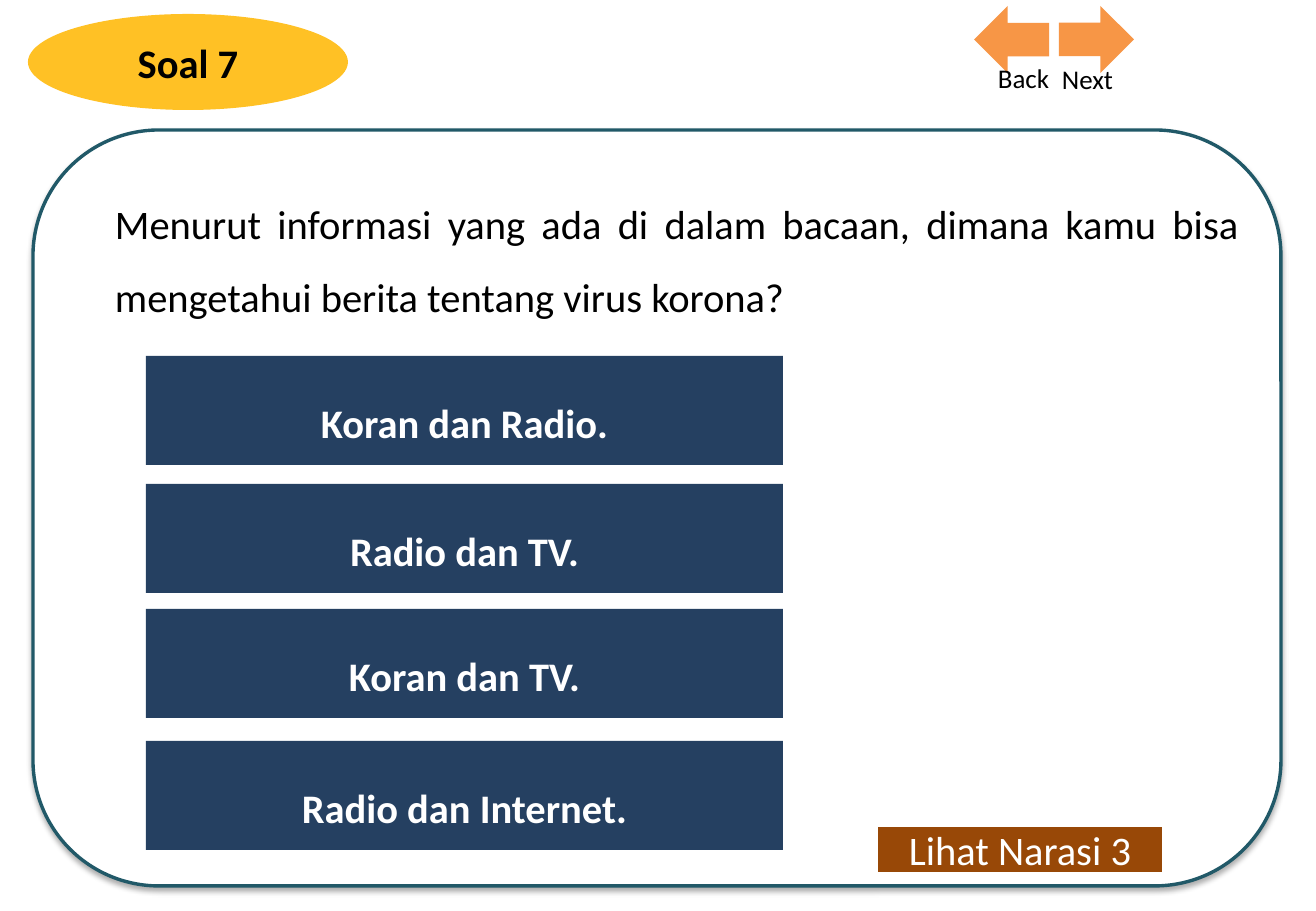
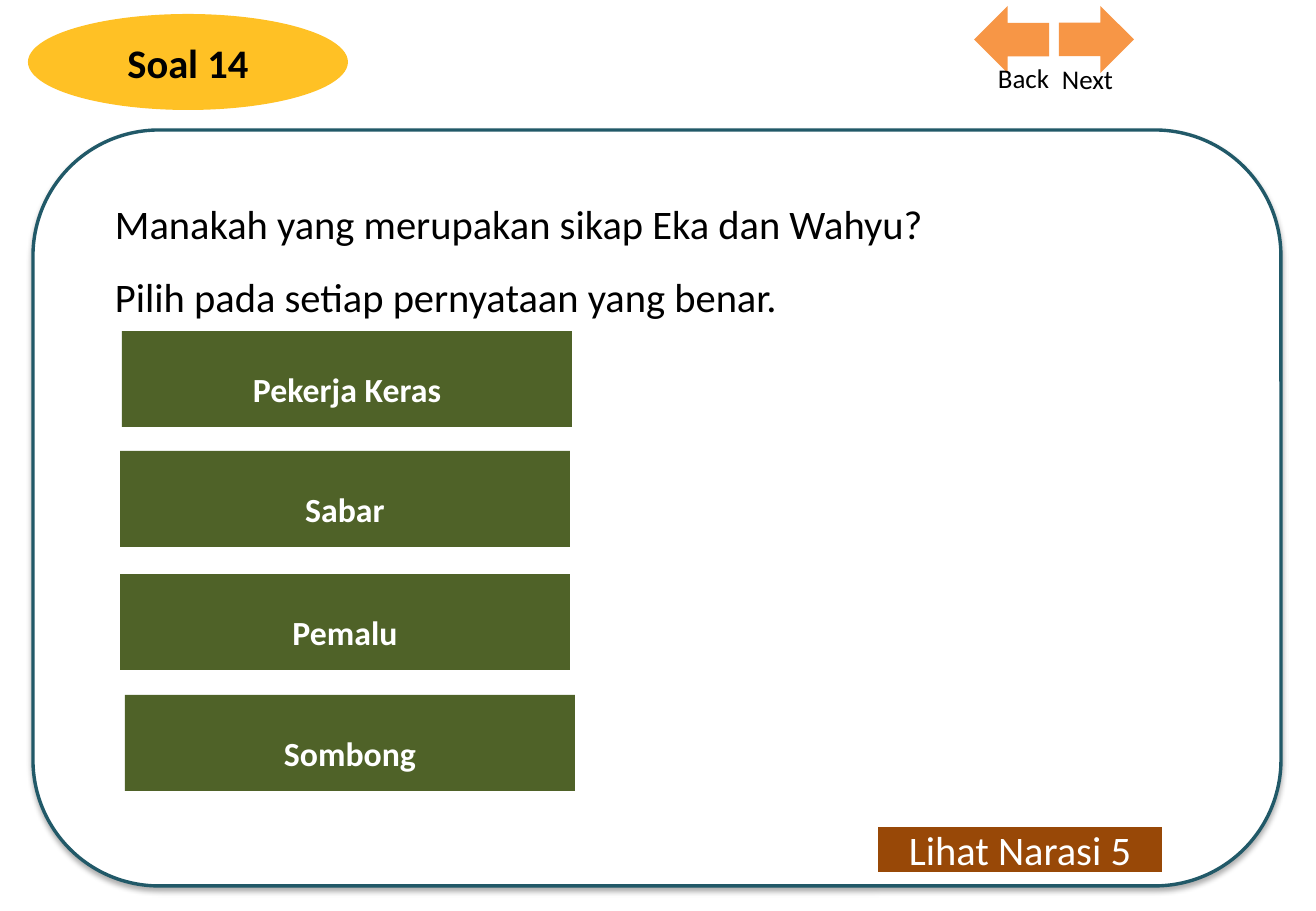
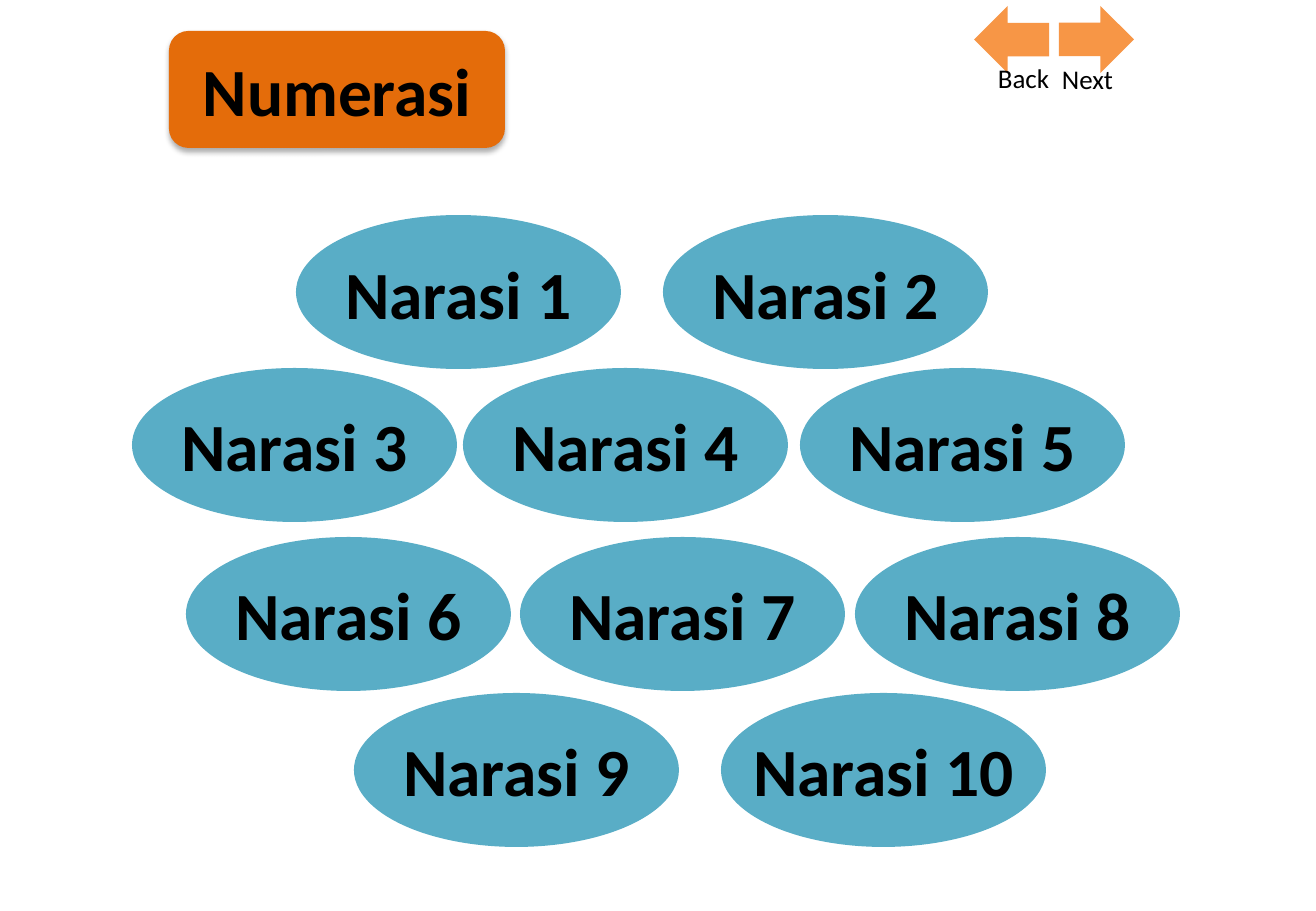
from lxml import etree
from pptx import Presentation
from pptx.dml.color import RGBColor
from pptx.enum.shapes import MSO_SHAPE
from pptx.enum.text import MSO_ANCHOR, PP_ALIGN
from pptx.oxml.ns import qn
from pptx.util import Emu, Pt

RECTANGLE, ROUNDED = MSO_SHAPE.RECTANGLE, MSO_SHAPE.ROUNDED_RECTANGLE
OVAL, ARROW = MSO_SHAPE.OVAL, MSO_SHAPE.RIGHT_ARROW
LEFT, CENTER, RIGHT, JUSTIFY = PP_ALIGN.LEFT, PP_ALIGN.CENTER, PP_ALIGN.RIGHT, PP_ALIGN.JUSTIFY
TOP, MIDDLE = MSO_ANCHOR.TOP, MSO_ANCHOR.MIDDLE

EMU_PER_PX = 914400 / 121.5
FONT = "Calibri"
COLORS = {
    "black": "000000", "white": "FFFFFF", "yellow": "FFC125", "frame": "215968",
    "brown": "984807", "navy": "254061", "green": "4F6228",
    "arrow": "F79646", "orange": "E46C0A", "teal": "59ADC6",
}

QUESTIONS = [
    {
        "title": "Soal 7",
        "question": ["Menurut informasi yang ada di dalam bacaan, dimana kamu bisa "
                     "mengetahui berita tentang virus korona?"],
        "link": "Lihat Narasi 3",
        "color": "navy", "size": 24, "option_box": (637, 109),
        "options": [("Koran dan Radio.", 146, 356), ("Radio dan TV.", 146, 484),
                    ("Koran dan TV.", 146, 609), ("Radio dan Internet.", 146, 741)],
    },
    {
        "title": "Soal 14",
        "question": ["Manakah yang merupakan sikap Eka dan Wahyu?",
                     "Pilih pada setiap pernyataan yang benar."],
        "link": "Lihat Narasi 5",
        "color": "green", "size": 20, "option_box": (450, 96),
        "options": [("Pekerja Keras", 122, 331), ("Sabar", 120, 451),
                    ("Pemalu", 120, 574), ("Sombong", 125, 695)],
    },
]

MENU_TITLE = "Numerasi"
MENU_OVAL = (325, 154)
# Top of each row, then the left edge of each oval in it
MENU_ROWS = [
    (215, [296, 663]),
    (368, [132, 463, 800]),
    (537, [186, 520, 855]),
    (693, [354, 721]),
]

# Arrow left, rotation, label, label box, label alignment
NAVIGATION = [
    (974, 180, "Back", (891, 56, 170, 45), RIGHT),
    (1059, 0, "Next", (1050, 57, 170, 45), LEFT),
]


def px(value):
    return Emu(round(value * EMU_PER_PX))


def rgb(name):
    return RGBColor.from_string(COLORS[name])


def write(shape, lines, size, color="white", bold=False, align=CENTER,
          anchor=MIDDLE, spacing=None, wrap=True):
    frame = shape.text_frame
    frame.word_wrap = wrap
    frame.vertical_anchor = anchor
    for index, line in enumerate(lines):
        paragraph = frame.add_paragraph() if index else frame.paragraphs[0]
        paragraph.alignment = align
        if spacing:
            paragraph.line_spacing = spacing
        run = paragraph.add_run()
        run.text = line
        run.font.name = FONT
        run.font.size = Pt(size)
        run.font.bold = bold
        run.font.color.rgb = rgb(color)


def add_box(slide, kind, box, fill):
    shape = slide.shapes.add_shape(kind, *map(px, box))
    shape.shadow.inherit = False
    shape.fill.solid()
    shape.fill.fore_color.rgb = rgb(fill)
    shape.line.fill.background()
    return shape


def add_text(slide, box, lines, size, **style):
    write(slide.shapes.add_textbox(*map(px, box)), lines, size,
          color="black", anchor=TOP, **style)


def add_soft_shadow(shape):
    effects = shape._element.spPr.find(qn("a:effectLst"))
    shadow = etree.SubElement(effects, qn("a:outerShdw"), blurRad="44450",
                              dist="27940", dir="5400000", rotWithShape="0")
    color = etree.SubElement(shadow, qn("a:srgbClr"), val=COLORS["black"])
    etree.SubElement(color, qn("a:alpha"), val="32000")


def add_navigation(slide):
    for left, rotation, label, label_box, align in NAVIGATION:
        add_box(slide, ARROW, (left, 6, 75, 67), "arrow").rotation = rotation
        add_text(slide, label_box, [label], 16, align=align)


def add_question(slide, content):
    title = add_box(slide, OVAL, (28, 14, 320, 96), "yellow")
    write(title, [content["title"]], 24, "black", bold=True, wrap=False)

    panel = add_box(slide, ROUNDED, (33, 130, 1248, 756), "white")
    panel.line.color.rgb = rgb("frame")
    panel.line.width = Pt(2)
    add_soft_shadow(panel)

    add_text(slide, (103, 169, 1148, 233), content["question"], 24,
             align=JUSTIFY, spacing=1.5)
    link = add_box(slide, RECTANGLE, (878, 827, 284, 45), "brown")
    write(link, [content["link"]], 24)

    for label, left, top in content["options"]:
        option = add_box(slide, RECTANGLE, (left, top, *content["option_box"]), content["color"])
        write(option, [label], content["size"], bold=True, spacing=1.5)


def add_menu(slide):
    title = add_box(slide, ROUNDED, (169, 31, 336, 117), "orange")
    add_soft_shadow(title)
    write(title, [MENU_TITLE], 40, "black", bold=True, wrap=False)

    places = [(left, top) for top, lefts in MENU_ROWS for left in lefts]
    for number, place in enumerate(places, start=1):
        oval = add_box(slide, OVAL, (*place, *MENU_OVAL), "teal")
        write(oval, [f"Narasi {number}"], 40, "black", bold=True, wrap=False)


def main():
    presentation = Presentation()
    presentation.slide_width, presentation.slide_height = px(1316), px(911)
    blank = presentation.slide_layouts[6]
    for content in QUESTIONS:
        slide = presentation.slides.add_slide(blank)
        add_question(slide, content)
        add_navigation(slide)
    slide = presentation.slides.add_slide(blank)
    add_menu(slide)
    add_navigation(slide)
    presentation.save("out.pptx")


if __name__ == "__main__":
    main()
